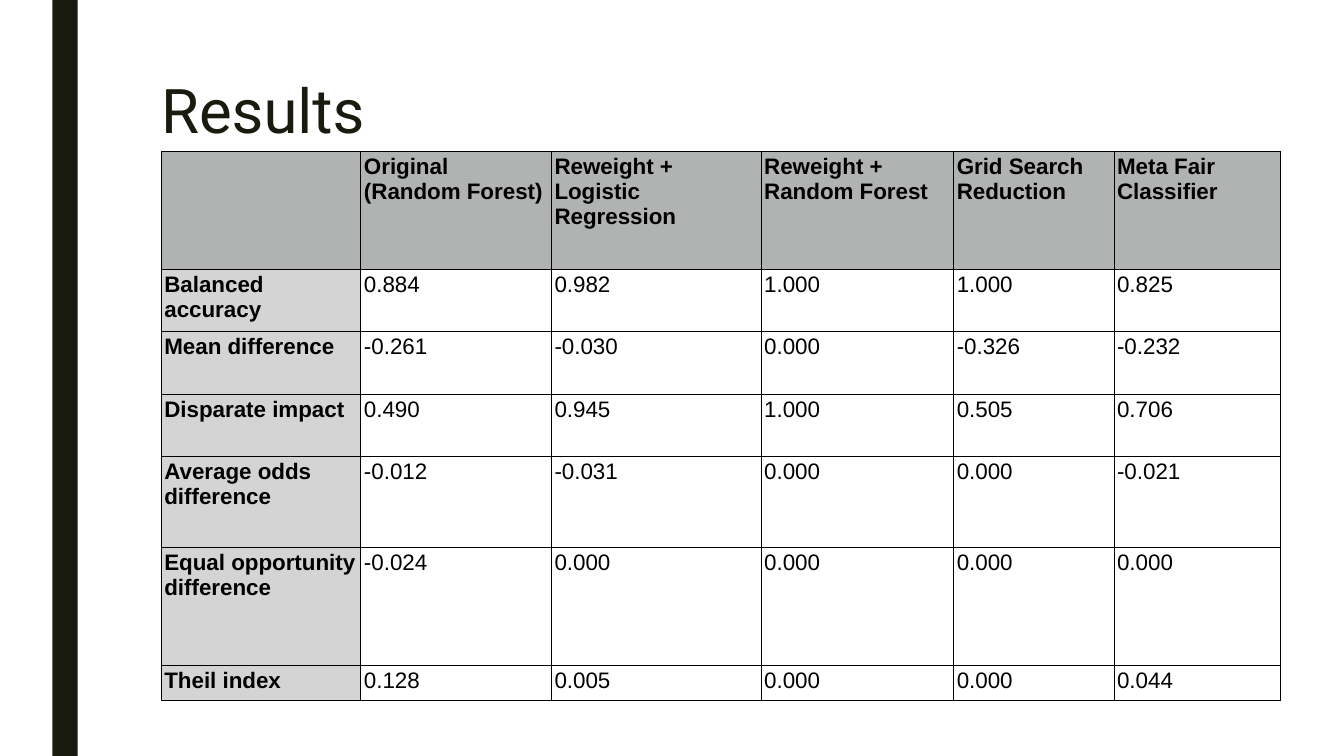
from lxml.etree import SubElement
from pptx import Presentation
from pptx.dml.color import RGBColor
from pptx.enum.shapes import MSO_SHAPE
from pptx.enum.text import MSO_ANCHOR, PP_ALIGN
from pptx.oxml.ns import qn
from pptx.util import Pt

EMU_PER_PX = 9144  # 100 px to the inch
DARK, BLACK = "191B0E", "000000"
HEADER_GREY, LABEL_GREY = "B0B3B2", "D4D4D4"

COLUMN_WIDTHS = [198, 189, 208, 191, 159, 165]
ROW_HEIGHTS = [117, 62, 62, 62, 90, 117, 35]
RESULTS = [
    ["", "Original (Random Forest)", "Reweight + Logistic Regression",
     "Reweight + Random Forest", "Grid Search Reduction", "Meta Fair Classifier"],
    ["Balanced accuracy", "0.884", "0.982", "1.000", "1.000", "0.825"],
    ["Mean difference", "-0.261", "-0.030", "0.000", "-0.326", "-0.232"],
    ["Disparate impact", "0.490", "0.945", "1.000", "0.505", "0.706"],
    ["Average odds difference", "-0.012", "-0.031", "0.000", "0.000", "-0.021"],
    ["Equal opportunity difference", "-0.024", "0.000", "0.000", "0.000", "0.000"],
    ["Theil index", "0.128", "0.005", "0.000", "0.000", "0.044"],
]


def px(length):
    return length * EMU_PER_PX


def color(hex_string):
    return RGBColor.from_string(hex_string)


def format_runs(paragraph, font_name, size, hex_string, bold=False):
    for run in paragraph.runs:
        run.font.name = font_name
        run.font.size = Pt(size)
        run.font.bold = bold
        run.font.color.rgb = color(hex_string)


def add_side_bar(slide, left, top, width, height):
    bar = slide.shapes.add_shape(MSO_SHAPE.RECTANGLE, px(left), px(top), px(width), px(height))
    bar.shadow.inherit = False
    bar.fill.solid()
    bar.fill.fore_color.rgb = color(DARK)
    bar.line.fill.background()


def add_title(slide, text, left, top, width, height):
    frame = slide.shapes.add_textbox(px(left), px(top), px(width), px(height)).text_frame
    frame.word_wrap = True
    frame.vertical_anchor = MSO_ANCHOR.TOP
    frame.text = text
    heading = frame.paragraphs[0]
    heading.line_spacing = 0.89
    format_runs(heading, "Roboto", 44, DARK)


def set_borders(cell, hex_string, points):
    properties = cell._tc.get_or_add_tcPr()
    # Border lines come before the fill in the cell properties
    for position, side in enumerate(("a:lnL", "a:lnR", "a:lnT", "a:lnB")):
        border = SubElement(properties, qn(side), w=str(Pt(points)))
        SubElement(SubElement(border, qn("a:solidFill")), qn("a:srgbClr"), val=hex_string)
        properties.insert(position, border)


def fill_cell(cell, text, fill, bold):
    cell.margin_left = cell.margin_right = px(3)
    cell.margin_top = cell.margin_bottom = px(3)
    cell.vertical_anchor = MSO_ANCHOR.TOP
    if fill:
        cell.fill.solid()
        cell.fill.fore_color.rgb = color(fill)
    else:
        cell.fill.background()
    cell.text_frame.text = text
    paragraph = cell.text_frame.paragraphs[0]
    paragraph.alignment = PP_ALIGN.LEFT
    format_runs(paragraph, "Arial", 16, BLACK, bold)
    set_borders(cell, BLACK, 0.75)


def add_results_table(slide, left, top):
    table = slide.shapes.add_table(
        len(ROW_HEIGHTS), len(COLUMN_WIDTHS), px(left), px(top),
        px(sum(COLUMN_WIDTHS)), px(sum(ROW_HEIGHTS))).table
    table.first_row = table.horz_banding = False
    for column, width in zip(table.columns, COLUMN_WIDTHS):
        column.width = px(width)
    for row, height in zip(table.rows, ROW_HEIGHTS):
        row.height = px(height)
    for r, values in enumerate(RESULTS):
        for c, value in enumerate(values):
            fill = HEADER_GREY if r == 0 else LABEL_GREY if c == 0 else None
            fill_cell(table.cell(r, c), value, fill, bold=fill is not None)


def main():
    presentation = Presentation()
    presentation.slide_width = px(1333)
    presentation.slide_height = px(750)
    slide = presentation.slides.add_slide(presentation.slide_layouts[6])

    # Background and side bar
    slide.background.fill.solid()
    slide.background.fill.fore_color.rgb = color("FFFFFF")
    add_side_bar(slide, 52, 0, 25, 750)

    # Heading and results
    add_title(slide, "Results", 150, 75, 1050, 162)
    add_results_table(slide, 160, 150)

    presentation.save("out.pptx")


if __name__ == "__main__":
    main()
